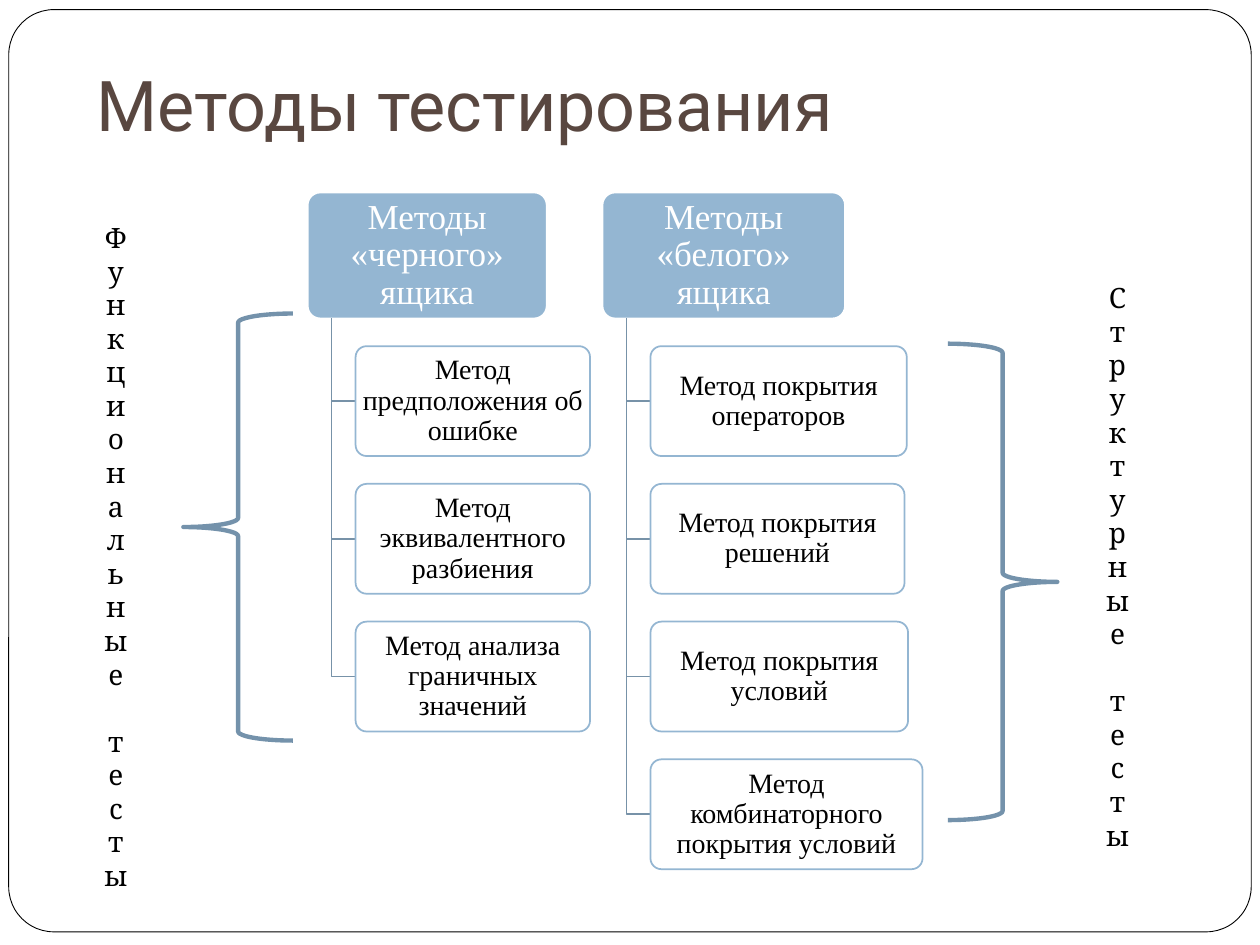
from dataclasses import dataclass

from lxml.etree import SubElement
from pptx import Presentation
from pptx.dml.color import RGBColor
from pptx.enum.shapes import MSO_SHAPE
from pptx.enum.text import MSO_ANCHOR, MSO_AUTO_SIZE, PP_ALIGN
from pptx.oxml.ns import qn
from pptx.util import Pt


@dataclass(frozen=True)
class Theme:
    paper: str = "FFFFFF"
    ink: str = "000000"
    title: str = "594740"
    accent: str = "94B6D2"
    branch: str = "7792A8"
    brace: str = "7492AB"
    title_font: str = "Roboto"
    box_font: str = "Times New Roman"
    side_font: str = "Cambria"
    title_size: float = 40
    header_size: float = 20
    body_size: float = 16


def apply_format(target, values):
    for name, value in values.items():
        setattr(target, name, value)


class MethodsSlide:
    def __init__(self, presentation, theme):
        self.theme = theme
        self.shapes = presentation.slides.add_slide(presentation.slide_layouts[6]).shapes

    def paint(self, shape, line, width, fill=None, opacity=None):
        shape.shadow.inherit = False
        if fill:
            shape.fill.solid()
            shape.fill.fore_color.rgb = RGBColor.from_string(fill)
        else:
            shape.fill.background()
        if opacity:
            color = shape.fill._xPr.find(f"{qn('a:solidFill')}/{qn('a:srgbClr')}")
            SubElement(color, qn("a:alpha"), val=str(opacity * 1000))
        shape.line.color.rgb = RGBColor.from_string(line)
        shape.line.width = Pt(width)

    def set_text(self, shape, text, font, size, color, frame_format, paragraph_format):
        frame = shape.text_frame
        apply_format(frame, {"word_wrap": True} | frame_format)
        paragraph = frame.paragraphs[0]
        apply_format(paragraph, paragraph_format)
        run = paragraph.add_run()
        run.text = text
        apply_format(run.font, {"name": font, "size": Pt(size)})
        run.font.color.rgb = RGBColor.from_string(color)
        return run

    def panel(self, area, radius, **look):
        panel = self.shapes.add_shape(MSO_SHAPE.ROUNDED_RECTANGLE, *map(Pt, area))
        panel.adjustments[0] = radius
        self.paint(panel, **look)
        return panel

    def box(self, area, text, size, color, **look):
        margins = {f"margin_{side}": 0 for side in ("left", "top", "right", "bottom")}
        self.set_text(self.panel(area, 0.1, width=1, **look), text,
                      self.theme.box_font, size, color,
                      margins | {"vertical_anchor": MSO_ANCHOR.MIDDLE},
                      {"alignment": PP_ALIGN.CENTER, "line_spacing": 0.9})

    def branch(self, spine, top, middle, end):
        """Draw the elbow from a header down and across to one method."""
        builder = self.shapes.build_freeform(Pt(spine), Pt(top))
        builder.add_line_segments([(Pt(spine), Pt(middle)), (Pt(end), Pt(middle))], close=False)
        self.paint(builder.convert_to_shape(), self.theme.branch, 1)

    def method_tree(self, left, header_width, header, methods):
        theme = self.theme
        top, header_height = 110, 72
        indent, first, pitch, height = 27.4, 197.8, 78.7, 62.8
        self.box((left, top, header_width, header_height), header, theme.header_size,
                 theme.paper, fill=theme.accent, line=theme.paper)
        for row, (method, width) in enumerate(methods):
            method_top = first + row * pitch
            self.branch(left + indent / 2, top + header_height,
                        method_top + height / 2, left + indent)
            self.box((left + indent, method_top, width, height), method, theme.body_size,
                     theme.ink, fill=theme.paper, opacity=90, line=theme.accent)

    def title(self, area, text):
        self.set_text(self.shapes.add_textbox(*map(Pt, area)), text, self.theme.title_font,
                      self.theme.title_size, self.theme.title,
                      {"auto_size": MSO_AUTO_SIZE.SHAPE_TO_FIT_TEXT}, {})

    def stacked_label(self, area, text):
        """Set a label with upright letters, one below the other."""
        label = self.shapes.add_textbox(*map(Pt, area))
        run = self.set_text(label, text, self.theme.side_font, self.theme.body_size,
                            self.theme.ink, {"auto_size": MSO_AUTO_SIZE.SHAPE_TO_FIT_TEXT},
                            {"alignment": PP_ALIGN.CENTER})
        label.text_frame._txBody.bodyPr.set("vert", "wordArtVert")
        run.font._element.set("spc", "-100")

    def brace(self, area, rotation=0):
        brace = self.shapes.add_shape(MSO_SHAPE.LEFT_BRACE, *map(Pt, area))
        brace.rotation = rotation
        self.paint(brace, self.theme.brace, 2.5)


def main():
    presentation = Presentation()
    apply_format(presentation, {"slide_width": Pt(720), "slide_height": Pt(540)})
    theme = Theme()
    slide = MethodsSlide(presentation, theme)

    slide.panel((5, 5.5, 710, 527), 0.049, fill=theme.paper, line=theme.ink, width=0.5)
    slide.method_tree(175.8, 136.6, "Методы «черного» ящика", [
        ("Метод предположения об ошибке", 134),
        ("Метод эквивалентного разбиения", 134),
        ("Метод анализа граничных значений", 134),
    ])
    slide.method_tree(344.3, 138.6, "Методы «белого» ящика", [
        ("Метод покрытия операторов", 146.5),
        ("Метод покрытия решений", 145.2),
        ("Метод покрытия условий", 147.2),
        ("Метод комбинаторного покрытия условий", 155.5),
    ])
    slide.title((48.2, 31.7, 601.2, 55.4), "Методы тестирования")
    slide.brace((104.8, 179.2, 62.6, 244))
    slide.stacked_label((36.7, 167.8, 59, 300.2), "Функциональные тесты")
    slide.brace((541.6, 196.4, 62.6, 272.2), rotation=180)
    slide.stacked_label((609.1, 173.5, 59, 300.2), "Структурные тесты")

    presentation.save("out.pptx")


if __name__ == "__main__":
    main()
